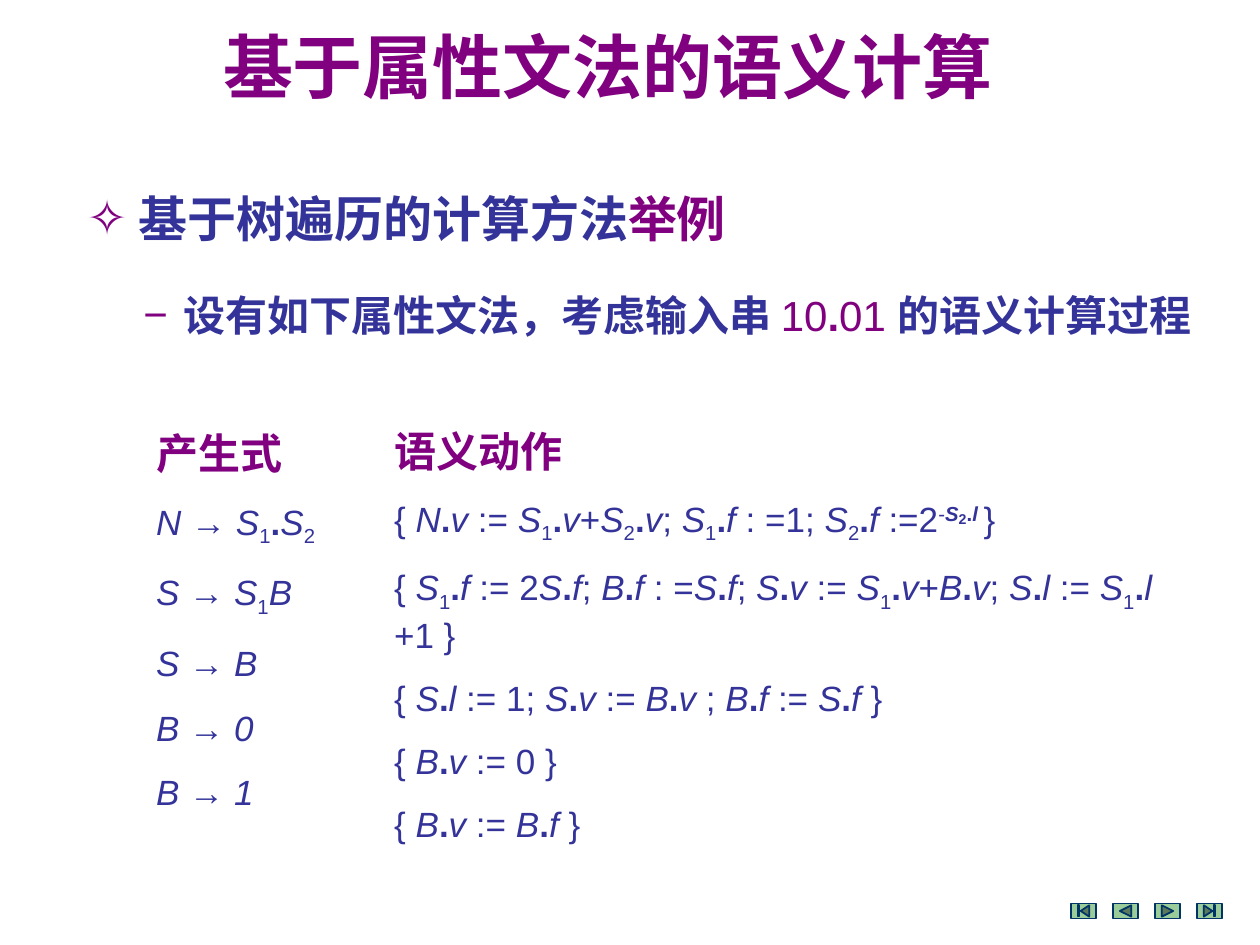
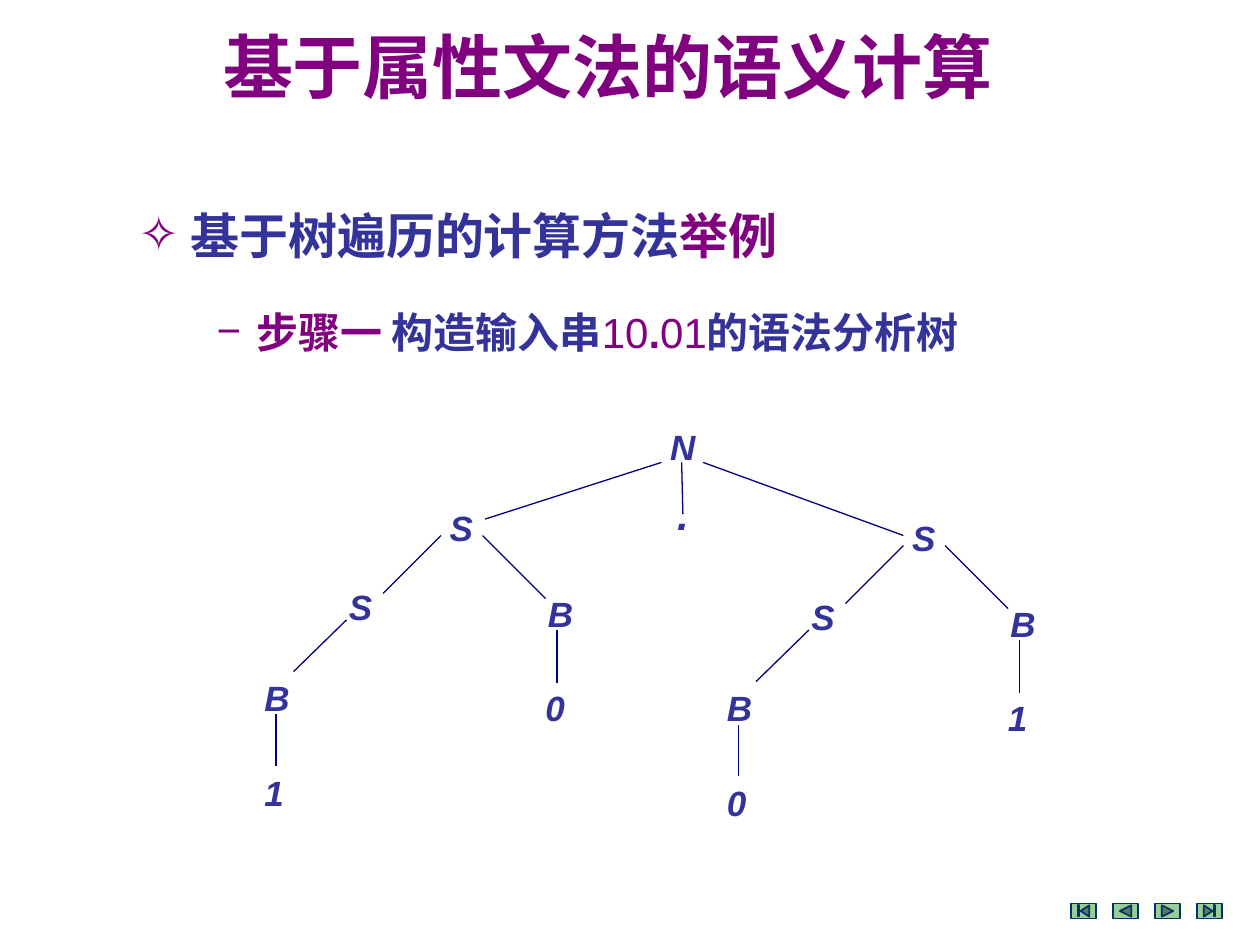
from itertools import groupby

from lxml import etree
from pptx import Presentation
from pptx.dml.color import RGBColor
from pptx.enum import shapes, text
from pptx.oxml.ns import qn
from pptx.util import Inches, Pt

PURPLE, BLUE, NAVY = "800080", "333399", "000080"
BUTTON_FILL, BUTTON_LINE = "99CC99", "003366"
LATIN, CHINESE = "Arial", "Noto Sans CJK SC"
TITLE = "基于属性文法的语义计算"
TOPIC = [(" 基于树遍历的计算方法", BLUE, True), ("举例", PURPLE, True)]
INPUT_STRING = [("10", PURPLE, False), (".", PURPLE, True)]

# In a formula "_" lowers the next character and "^" switches superscript.
PRODUCTIONS = ["N → S_1.S_2", "S → S_1B", "S → B", "B → 0", "B → 1"]
ACTIONS = [
    "{ N.v := S_1.v+S_2.v; S_1.f : =1; S_2.f :=2^-S2.l ^}",
    "{ S_1.f := 2S.f; B.f : =S.f; S.v := S_1.v+B.v; S.l := S_1.l +1 }",
    "{ S.l := 1; S.v := B.v ; B.f := S.f }",
    "{ B.v := 0 }",
    "{ B.v := B.f }",
]

# One half of the parse tree; the other half is the same, moved by RIGHT_HALF.
RIGHT_HALF = (3.67, 0.08)
HALF_LABELS = [("S", 3.47, 3.97), ("S", 2.67, 4.6), ("B", 2, 5.32), ("B", 4.25, 4.65)]
HALF_LEAVES = [(2, 6.07), (4.23, 5.4)]
HALF_BRANCHES = [
    (4.33, 4.75, 3.83, 4.25),
    (3.04, 4.71, 3.5, 4.25),
    (2.33, 5.33, 2.75, 4.92),
    (4.42, 5.42, 4.42, 5),
    (2.19, 6.08, 2.19, 5.67),
]
ROOT_BRANCHES = [(3.85, 4.12, 5.25, 3.67), (5.42, 4.08, 5.41, 3.67), (7.17, 4.25, 5.58, 3.67)]


def rgb(colour):
    return RGBColor.from_string(colour)


def format_run(run, size, colour, bold=False, italic=False, baseline=0):
    font = run.font
    font.size, font.bold, font.italic = Pt(size), bold, italic
    font.color.rgb = rgb(colour)
    font.name = LATIN
    properties = font._element
    east_asian = etree.Element(qn("a:ea"), typeface=CHINESE)
    properties.find(qn("a:latin")).addnext(east_asian)
    if baseline:
        properties.set("baseline", str(baseline * 1000))


def add_run(paragraph, content, *style, **options):
    run = paragraph.add_run()
    run.text = content
    format_run(run, *style, **options)


def add_text_frame(slide, left, top, width, height):
    box = slide.shapes.add_textbox(*map(Inches, (left, top, width, height)))
    box.text_frame.word_wrap = True
    return box.text_frame


def add_bullet_line(slide, position, bullet, size, segments, hanging=0):
    paragraph = add_text_frame(slide, *position).paragraphs[0]
    properties = paragraph._p.get_or_add_pPr()
    properties.set("marL", str(Inches(hanging)))
    properties.set("indent", str(-Inches(hanging)))
    colour = etree.SubElement(properties, qn("a:buClr"))
    etree.SubElement(colour, qn("a:srgbClr"), val=PURPLE)
    etree.SubElement(properties, qn("a:buFont"), typeface=LATIN)
    etree.SubElement(properties, qn("a:buChar"), char=bullet)
    for content, segment_colour, bold in segments:
        add_run(paragraph, content, size, segment_colour, bold)


def styled_characters(formula, italic_digits):
    """Yield each character with its (size, bold, italic, baseline)."""
    lowered = raised = False
    for character in formula:
        if character == "_":
            lowered = True
        elif character == "^":
            raised = not raised
        else:
            italic = character.isalpha() or (
                italic_digits and character.isdigit() and not lowered)
            bold = character == "." or (raised and character != "-")
            size = 14 if raised and character.isdigit() else 20
            baseline = -25 if lowered else 30 if raised else 0
            yield character, (size, bold, italic, baseline)
            lowered = False


def add_formula_column(slide, position, heading, formulas, gap, italic_digits=False):
    frame = add_text_frame(slide, *position)
    add_run(frame.paragraphs[0], heading, 24, PURPLE, bold=True)
    for formula in formulas:
        paragraph = frame.add_paragraph()
        paragraph.space_before = Pt(gap)
        characters = styled_characters(formula, italic_digits)
        for style, group in groupby(characters, key=lambda pair: pair[1]):
            size, bold, italic, baseline = style
            content = "".join(character for character, _ in group)
            add_run(paragraph, content, size, BLUE, bold, italic, baseline)


def add_label(slide, symbol, left, top, size=20):
    paragraph = add_text_frame(slide, left, top, 0.42, 0.43).paragraphs[0]
    add_run(paragraph, symbol, size, BLUE, bold=True, italic=True)
    return paragraph


def add_branch(slide, *ends):
    line = slide.shapes.add_connector(shapes.MSO_CONNECTOR.STRAIGHT, *map(Inches, ends))
    line.line.color.rgb = rgb(NAVY)
    line.line.width = Pt(0.75)
    etree.SubElement(line._element.spPr, qn("a:effectLst"))


def add_half_tree(slide, leaves, dx=0, dy=0):
    for symbol, left, top in HALF_LABELS:
        add_label(slide, symbol, left + dx, top + dy)
    for symbol, (left, top) in zip(leaves, HALF_LEAVES):
        add_label(slide, symbol, left + dx, top + dy)
    for x1, y1, x2, y2 in HALF_BRANCHES:
        add_branch(slide, x1 + dx, y1 + dy, x2 + dx, y2 + dy)


def add_parse_tree(slide):
    add_label(slide, "N", 5.22, 3.33)
    add_label(slide, ".", 5.21, 3.83, size=24).alignment = text.PP_ALIGN.CENTER
    for ends in ROOT_BRANCHES:
        add_branch(slide, *ends)
    add_half_tree(slide, "10")
    add_half_tree(slide, "01", *RIGHT_HALF)


def add_navigation(slide):
    for column, name in enumerate(("BEGINNING", "BACK_OR_PREVIOUS", "FORWARD_OR_NEXT", "END")):
        kind = getattr(shapes.MSO_SHAPE, "ACTION_BUTTON_" + name)
        button = slide.shapes.add_shape(
            kind, Inches(8.5 + column / 3), Inches(7.17), Inches(0.2), Inches(0.12))
        button.shadow.inherit = False
        button.fill.solid()
        button.fill.fore_color.rgb = rgb(BUTTON_FILL)
        button.line.color.rgb = rgb(BUTTON_LINE)
        button.line.width = Pt(1)


def add_slide(presentation):
    slide = presentation.slides.add_slide(presentation.slide_layouts[5])
    title = slide.shapes.title
    title.left, title.top, title.width, title.height = map(Inches, (1.67, 0.21, 6.39, 0.7))
    frame = title.text_frame
    frame.text = TITLE
    frame.auto_size = text.MSO_AUTO_SIZE.NONE
    frame.vertical_anchor = text.MSO_ANCHOR.TOP
    paragraph = frame.paragraphs[0]
    paragraph.alignment = text.PP_ALIGN.LEFT
    paragraph.line_spacing = 0.9
    format_run(paragraph.runs[0], 40, PURPLE, bold=True)
    add_navigation(slide)
    return slide


def add_grammar_slide(presentation):
    slide = add_slide(presentation)
    add_bullet_line(slide, (0.59, 1.45, 8.83, 0.57), "✧", 28, TOPIC)
    task = [(" 设有如下属性文法，考虑输入串 ", BLUE, True), *INPUT_STRING,
            ("01 ", PURPLE, False), ("的语义计算过程", BLUE, True)]
    add_bullet_line(slide, (1.04, 2.25, 8.62, 0.5), "−", 24, task, hanging=0.24)
    add_formula_column(slide, (1.14, 3.34, 1.89, 2.9), "产生式", PRODUCTIONS, 13,
                       italic_digits=True)
    add_formula_column(slide, (3.03, 3.33, 6.77, 2.93), "语义动作", ACTIONS, 12)


def add_tree_slide(presentation):
    slide = add_slide(presentation)
    add_bullet_line(slide, (1, 1.58, 8.83, 0.57), "✧", 28, TOPIC)
    step = [(" 步骤一 ", PURPLE, True), ("构造输入串", BLUE, True), *INPUT_STRING,
            ("01", PURPLE, False), ("的语法分析树", BLUE, True)]
    add_bullet_line(slide, (1.62, 2.38, 7.88, 0.5), "−", 24, step, hanging=0.24)
    add_parse_tree(slide)


def main():
    presentation = Presentation()
    presentation.slide_width, presentation.slide_height = Inches(10), Inches(7.5)
    add_grammar_slide(presentation)
    add_tree_slide(presentation)
    presentation.save("out.pptx")


if __name__ == "__main__":
    main()
